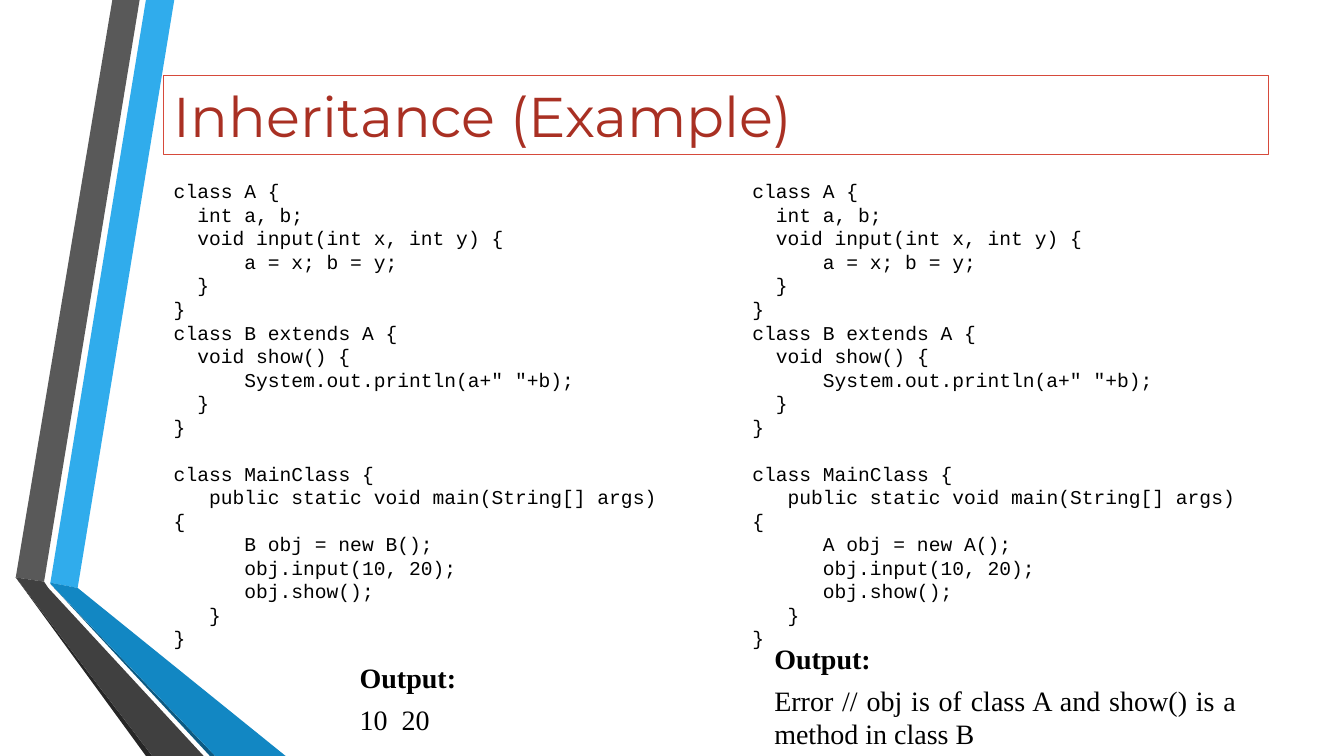
from pptx import Presentation
from pptx.dml.color import RGBColor
from pptx.enum.shapes import MSO_SHAPE as Shape
from pptx.enum.text import MSO_ANCHOR as Anchor, PP_ALIGN as Align
from pptx.util import Emu, Pt

PX = 9525
CODE_SIZE = 14
CHAR_WIDTH = CODE_SIZE * 0.6
BLANK_LINE = 16.8

RIBBONS = [
    ("30ACEC", [(48, 555), (74, 560), (166, 0), (139, 0)]),
    ("595959", [(133, 0), (107, 0), (15, 550), (42, 554)]),
    ("262626", [(15, 550), (139, 720), (145, 720)]),
    ("0C5A82", [(48, 556), (200, 720), (205, 720)]),
    ("1287C3", [(48, 556), (205, 720), (272, 720), (74, 560), (48, 555)]),
    ("404040", [(194, 720), (46, 560), (42, 554), (15, 550), (145, 720)]),
]

CLASSES = [
    (0, "class A {"),
    (2, "int a, b;"),
    (2, "void input(int x, int y) {"),
    (6, "a = x; b = y;"),
    (2, "}"),
    (0, "}"),
    (0, "class B extends A {"),
    (2, "void show() {"),
    (6, 'System.out.println(a+" "+b);'),
    (2, "}"),
    (0, "}"),
]


def main_class(name):
    return [
        (0, "class MainClass {"),
        (3, "public static void main(String[] args) {"),
        (6, f"{name} obj = new {name}();"),
        (6, "obj.input(10, 20);"),
        (6, "obj.show();"),
        (3, "}"),
        (0, "}"),
    ]


def color(value):
    return RGBColor.from_string(value)


def place(shape, box):
    shape.left, shape.top, shape.width, shape.height = (Emu(n * PX) for n in box)


def add_run(para, text, font, size, fill="000000", bold=False):
    run = para.add_run()
    run.text = text
    run.font.name = font
    run.font.size = Pt(size)
    run.font.bold = bold
    run.font.color.rgb = color(fill)


def next_para(frame, index):
    return frame.add_paragraph() if index else frame.paragraphs[0]


def draw_ribbons(page):
    for fill, points in RIBBONS:
        builder = page.shapes.build_freeform(*points[0], scale=PX)
        builder.add_line_segments(points[1:], close=True)
        ribbon = builder.convert_to_shape()
        ribbon.shadow.inherit = False
        ribbon.fill.solid()
        ribbon.fill.fore_color.rgb = color(fill)
        ribbon.line.fill.background()


def draw_title(page, box, text):
    title = page.shapes.title
    place(title, box)
    title.line.color.rgb = color("D64A3B")
    title.line.width = Pt(0.75)
    title.text_frame.vertical_anchor = Anchor.MIDDLE
    para = title.text_frame.paragraphs[0]
    para.alignment = Align.LEFT
    add_run(para, text, "Montserrat", 40, "A93023")


def draw_code(page, box, name):
    panel = page.shapes.add_shape(Shape.RECTANGLE, 0, 0, 0, 0)
    place(panel, box)
    panel.shadow.inherit = False
    panel.fill.solid()
    panel.fill.fore_color.rgb = color("FFFFFF")
    panel.line.fill.background()
    frame = panel.text_frame
    frame.word_wrap = True
    frame.vertical_anchor = Anchor.TOP
    for index, (indent, text) in enumerate(CLASSES + main_class(name)):
        para = next_para(frame, index)
        para.alignment = Align.LEFT
        para._p.get_or_add_pPr().set("indent", str(Pt(indent * CHAR_WIDTH)))
        if index == len(CLASSES):
            para.space_before = Pt(BLANK_LINE)
        add_run(para, text, "Courier New", CODE_SIZE)


def draw_output(page, box, result):
    note = page.shapes.add_textbox(0, 0, 0, 0)
    place(note, box)
    frame = note.text_frame
    frame.word_wrap = True
    for index, text in enumerate(("Output:", result)):
        para = next_para(frame, index)
        para.alignment = Align.JUSTIFY
        para.space_after = Pt(6)
        add_run(para, text, "Times New Roman", 20, bold=index == 0)


def main():
    deck = Presentation()
    deck.slide_width, deck.slide_height = Emu(1280 * PX), Emu(720 * PX)
    page = deck.slides.add_slide(deck.slide_layouts[5])
    draw_ribbons(page)
    draw_title(page, (156, 72, 1052, 75), "Inheritance (Example)")
    for left, name in ((156, "B"), (707, "A")):
        draw_code(page, (left, 166, 500, 440), name)
    draw_output(page, (333, 624, 220, 83), "10  20")
    draw_output(page, (728, 606, 459, 114),
                "Error // obj is of class A and show() is a method in class B")
    deck.save("out.pptx")


if __name__ == "__main__":
    main()
